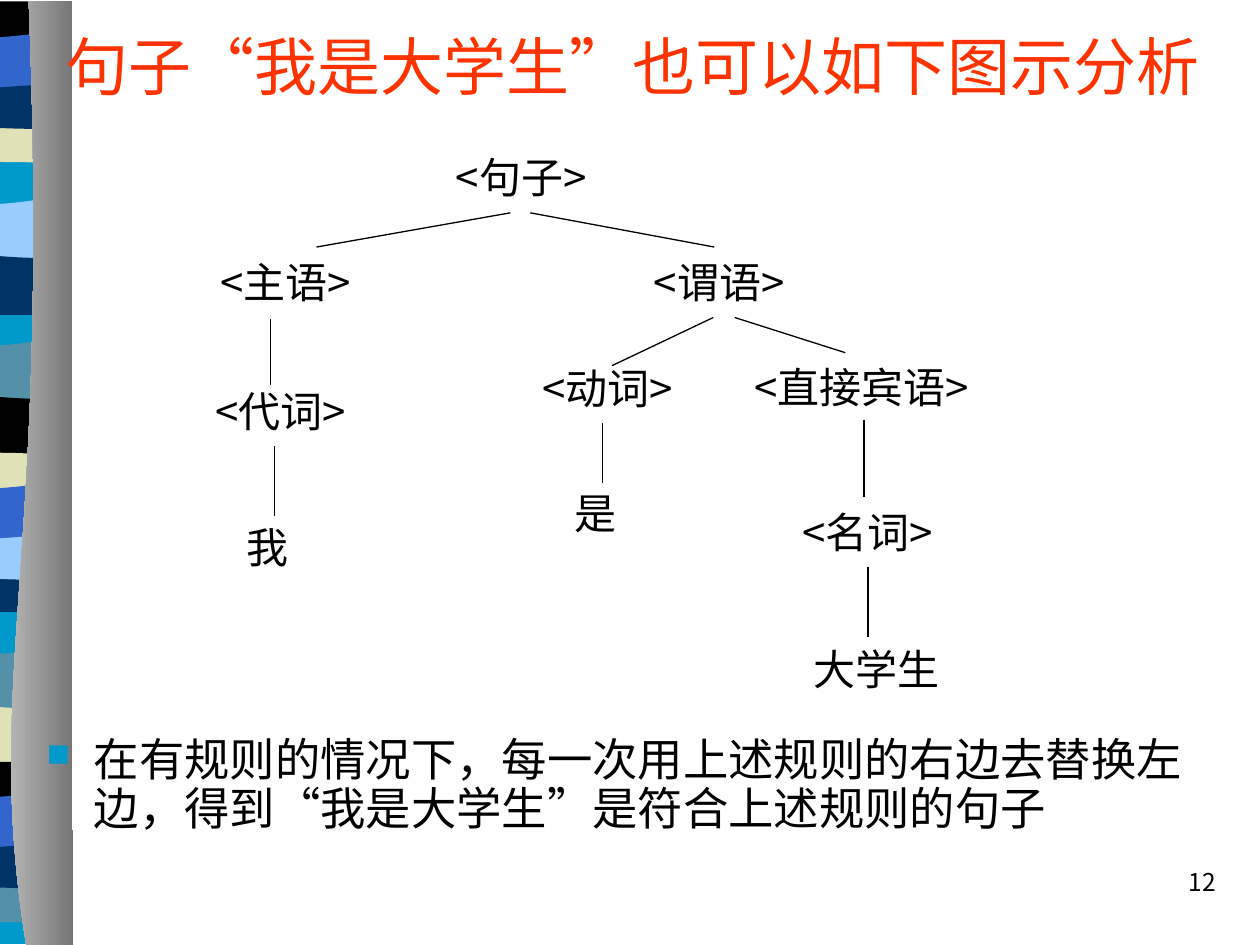
from lxml import etree
from pptx import Presentation
from pptx.dml.color import RGBColor
from pptx.enum import lang, shapes, text
from pptx.oxml import ns
from pptx.util import Cm, Pt

FONT = "Noto Sans CJK SC"
BLACK = RGBColor(0x00, 0x00, 0x00)
ORANGE = RGBColor(0xFF, 0x33, 0x00)
CYAN = RGBColor(0x00, 0x99, 0xCC)
TEAL = RGBColor(0x54, 0x90, 0xA8)
CREAM = RGBColor(0xE1, 0xE1, 0xB7)
BLUE = RGBColor(0x33, 0x66, 0xCC)
NAVY = RGBColor(0x00, 0x33, 0x66)
SKY = RGBColor(0x99, 0xCC, 0xFF)
LIGHT_GREY = RGBColor(0xD1, 0xD1, 0xD1)
DARK_GREY = RGBColor(0x76, 0x76, 0x76)

TITLE = "句子“我是大学生”也可以如下图示分析"
RULE = "在有规则的情况下，每一次用上述规则的右边去替换左边，得到“我是大学生”是符合上述规则的句子"
PAGE = "12"

NODES = [
    ("<句子>", 8.94, 2.92, 3.73),
    ("<主语>", 4.19, 5.05, 3.58),
    ("<谓语>", 12.93, 5.05, 3.58),
    ("<代词>", 4.09, 7.65, 3.58),
    ("<动词>", 10.69, 7.19, 3.58),
    ("<直接宾语>", 14.96, 7.16, 5.26),
    ("<名词>", 15.93, 10.08, 3.58),
    ("大学生", 16.15, 12.85, 3.05),
    ("我", 4.72, 10.39, 1.35),
    ("是", 11.33, 9.7, 1.35),
]
NODE_HEIGHT = 1.27
BRANCHES = [
    (10.29, 4.29, 6.38, 4.98),
    (10.69, 4.29, 14.4, 4.98),
    (5.54, 8.99, 5.54, 10.41),
    (14.38, 6.4, 12.34, 7.37),
    (14.81, 6.4, 17.04, 7.11),
    (12.14, 8.53, 12.14, 9.73),
    (17.5, 11.43, 17.5, 12.85),
    (5.46, 6.43, 5.46, 7.77),
    (17.42, 8.46, 17.42, 10.01),
]

LEFT, RIGHT = -1.45, 1.35
OUTLINES = {
    "backdrop": [(LEFT, 0), (RIGHT, 0), (RIGHT, 18.95), (LEFT, 18.95)],
    "swell": [(LEFT, 0.2), (0.48, 0.41, 0.86, 0, RIGHT, 0.2), (RIGHT, 1.4), (LEFT, 1.4)],
    "dip": [(LEFT, 0.18), (-0.99, 0, 0.48, 0.33, RIGHT, 0.18), (RIGHT, 1.37), (LEFT, 1.37)],
    "lens": [(LEFT, 0.1), (-0.99, 0, 0.86, 0, RIGHT, 0.1), (RIGHT, 0.71),
             (1.17, 0.84, 0.74, 0.81, 0.28, 0.81), (-0.2, 0.81, -1.09, 0.74, LEFT, 0.71)],
    "arch": [(LEFT, 0.15), (-0.99, 0, 0.86, 0, RIGHT, 0.15), (RIGHT, 0.97),
             (-0.38, 0.84, -0.86, 0.97, LEFT, 0.97)],
    "flat": [(LEFT, 0), (RIGHT, 0), (RIGHT, 0.97), (-0.38, 0.84, -0.86, 0.97, LEFT, 0.97)],
    "sag": [(LEFT, 0), (-1.02, 0.13, -0.84, 0.13, -0.38, 0.13),
            (0.1, 0.13, 0.91, 0, RIGHT, 0), (RIGHT, 1.19), (LEFT, 1.19)],
    "ripple": [(LEFT, 0.15), (-1.27, 0, -0.84, 0.15, -0.38, 0.15),
               (0.1, 0.15, 1.07, 0, RIGHT, 0.15), (RIGHT, 0.91),
               (0.94, 1.04, -0.56, 0.91, -1.02, 0.91), (LEFT, 0.91)],
    "spine": [(0.53, 19.05), (-0.36, 13.54, 1.04, 11.53, 0.58, 0.03), (1.45, 0.03), (1.47, 19.05)],
}
BANDS = [
    ("backdrop", 0.08, CYAN),
    ("swell", 12.93, TEAL), ("dip", 14.07, CREAM), ("lens", 17.78, TEAL),
    ("arch", 15.32, BLACK), ("sag", 15.95, BLUE), ("ripple", 16.94, NAVY),
    ("swell", 6.71, TEAL), ("dip", 7.82, BLACK), ("lens", 11.53, NAVY),
    ("arch", 9.09, CREAM), ("sag", 9.73, BLUE), ("ripple", 10.72, SKY),
    ("swell", 3.86, SKY), ("dip", 4.98, NAVY), ("lens", 2.46, CREAM),
    ("flat", 0.03, BLACK), ("sag", 0.64, BLUE), ("ripple", 1.63, NAVY),
]
UNITS_PER_CM = 1000


def add_outline(slide, kind, top=0):
    steps = OUTLINES[kind]
    start, *knots = [(step[i] * UNITS_PER_CM, (step[i + 1] + top) * UNITS_PER_CM)
                     for step in steps for i in range(0, len(step), 2)]
    builder = slide.shapes.build_freeform(*start, scale=Cm(1) / UNITS_PER_CM)
    builder.add_line_segments(knots, close=True)
    outline = builder.convert_to_shape()
    segments = iter(list(outline._element.iter(ns.qn("a:lnTo"))))
    for step in steps[1:]:
        first = next(segments)
        if len(step) == 6:
            first.tag = ns.qn("a:cubicBezTo")
            for _ in range(2):
                control = next(segments)
                first.append(control[0])
                control.getparent().remove(control)
    outline.shadow.inherit = False
    outline.line.fill.background()
    return outline


def add_text(slide, content, box, size=24, color=BLACK, align=text.PP_ALIGN.LEFT,
             anchor=text.MSO_ANCHOR.TOP, wrap=True, grow=False, bullet=None, spacing=None):
    frame = slide.shapes.add_textbox(*map(Cm, box)).text_frame
    frame.word_wrap = wrap
    frame.auto_size = text.MSO_AUTO_SIZE.SHAPE_TO_FIT_TEXT if grow else text.MSO_AUTO_SIZE.NONE
    frame.vertical_anchor = anchor
    paragraph = frame.paragraphs[0]
    if bullet:
        props = paragraph._p.get_or_add_pPr()
        props.set("marL", str(Cm(0.95)))
        props.set("indent", str(-Cm(0.95)))
        tint = etree.SubElement(props, ns.qn("a:buClr"))
        etree.SubElement(tint, ns.qn("a:srgbClr"), val=str(CYAN))
        etree.SubElement(props, ns.qn("a:buSzPct"), val="70000")
        etree.SubElement(props, ns.qn("a:buChar"), char=bullet)
    paragraph.alignment = align
    if spacing:
        paragraph.line_spacing = spacing
    run = paragraph.add_run()
    run.text = content
    run.font.size = Pt(size)
    run.font.name = FONT
    run.font.color.rgb = color
    run.font.language_id = lang.MSO_LANGUAGE_ID.SIMPLIFIED_CHINESE
    etree.SubElement(run._r.get_or_add_rPr(), ns.qn("a:ea"), typeface=FONT)


def add_branch(slide, ends):
    branch = slide.shapes.add_connector(shapes.MSO_CONNECTOR.STRAIGHT, *map(Cm, ends))
    branch.line.color.rgb = BLACK
    branch.line.width = Pt(0.75)
    etree.SubElement(branch._element.spPr, ns.qn("a:effectLst"))


def main():
    deck = Presentation()
    deck.slide_width, deck.slide_height = Cm(25.4), Cm(19.05)
    slide = deck.slides.add_slide(deck.slide_layouts[6])

    for kind, top, color in BANDS:
        band = add_outline(slide, kind, top)
        band.fill.solid()
        band.fill.fore_color.rgb = color
    spine = add_outline(slide, "spine")
    spine.fill.gradient()
    spine.fill.gradient_angle = 0
    for stop, color in zip(spine.fill.gradient_stops, (LIGHT_GREY, DARK_GREY)):
        stop.color.rgb = color

    add_text(slide, PAGE, (19.48, 17.35, 5.28, 1.27), size=14, align=text.PP_ALIGN.RIGHT)
    add_text(slide, TITLE, (1.07, 0.33, 23.62, 1.96), size=36, color=ORANGE,
             anchor=text.MSO_ANCHOR.MIDDLE)
    add_text(slide, RULE, (0.69, 14.73, 23.8, 3.4), size=25.9, bullet="■", spacing=0.9)
    for label, left, top, width in NODES:
        add_text(slide, label, (left, top, width, NODE_HEIGHT), wrap=False, grow=True)
    for ends in BRANCHES:
        add_branch(slide, ends)

    deck.save("out.pptx")


if __name__ == "__main__":
    main()
